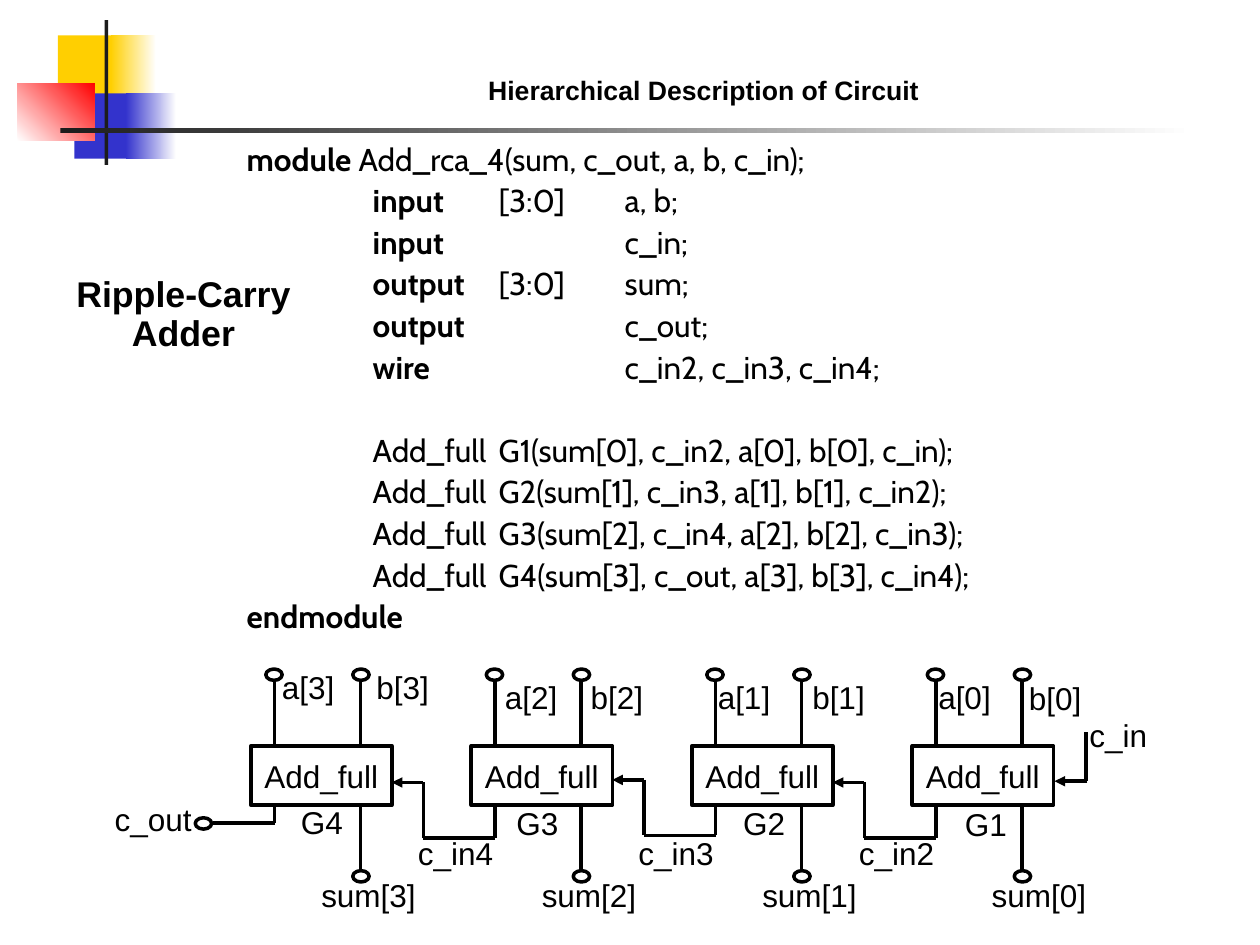
from lxml import etree
from pptx import Presentation
from pptx import util as u
from pptx.dml.color import RGBColor
from pptx.enum import shapes, text
from pptx.oxml.ns import qn

BLACK = RGBColor(0x00, 0x00, 0x00)
WHITE = RGBColor(0xFF, 0xFF, 0xFF)
YELLOW = RGBColor(0xFF, 0xCF, 0x01)
BLUE = RGBColor(0x33, 0x33, 0xCC)
RED = RGBColor(0xFF, 0x00, 0x00)
DARK = RGBColor(0x1C, 0x1C, 0x1C)
RECT, OVAL = shapes.MSO_SHAPE.RECTANGLE, shapes.MSO_SHAPE.OVAL
CENTER, LEFT = text.PP_ALIGN.CENTER, text.PP_ALIGN.LEFT
TOP, MIDDLE, BOTTOM = (text.MSO_ANCHOR.TOP, text.MSO_ANCHOR.MIDDLE,
                       text.MSO_ANCHOR.BOTTOM)

deck = Presentation()
deck.slide_width, deck.slide_height = u.Inches(10), u.Inches(7.5)
page = deck.slides.add_slide(deck.slide_layouts[6])


def add_block(kind, place, colors=(), angle=0):
    """Two colors make a gradient, one a solid fill, none a black outline."""
    shape = page.shapes.add_shape(kind, *map(u.Inches, place))
    shape.shadow.inherit = False
    if colors:
        shape.line.fill.background()
    else:
        shape.fill.background()
        shape.line.color.rgb = BLACK
        shape.line.width = u.Pt(2)
    if len(colors) == 1:
        shape.fill.solid()
        shape.fill.fore_color.rgb = colors[0]
    elif colors:
        shape.fill.gradient()
        shape.fill.gradient_angle = angle
        for stop, color in zip(shape.fill.gradient_stops, colors):
            stop.color.rgb = color
    return shape


def write(shape, rows, size=18, name="Arial", align=CENTER, anchor=MIDDLE,
          spacing=1.0, wrap=False):
    """Each row is a list of (wording, bold) pairs; tab stops are an inch apart."""
    frame = shape.text_frame
    frame.word_wrap = wrap
    frame.vertical_anchor = anchor
    for index, row in enumerate(rows):
        para = frame.add_paragraph() if index else frame.paragraphs[0]
        para.alignment, para.line_spacing = align, spacing
        stops = etree.SubElement(para._p.get_or_add_pPr(), qn("a:tabLst"))
        for inch in range(8):
            etree.SubElement(stops, qn("a:tab"), pos=str(u.Inches(inch)), algn="l")
        for wording, bold in row:
            span = para.add_run()
            span.text = wording
            span.font.color.rgb = BLACK
            style = {"size": u.Pt(size), "name": name, "bold": bold}
            for key, value in style.items():
                setattr(span.font, key, value)
    return frame


# Corner decoration and rule
for place, colors, angle in [
    ((0.46, 0.28, 0.48, 0.52), [YELLOW], 0),
    ((0.88, 0.28, 0.36, 0.52), [YELLOW, WHITE], 0),
    ((0.59, 0.74, 0.46, 0.52), [BLUE], 0),
    ((1.00, 0.74, 0.40, 0.52), [BLUE, WHITE], 0),
    ((0.14, 0.66, 0.61, 0.46), [WHITE, RED], 45),
    ((0.83, 0.16, 0.03, 1.15), [DARK], 0),
    ((0.48, 1.02, 9.00, 0.04), [DARK, WHITE], 0),
]:
    add_block(RECT, place, colors, angle)

# Headings and module code
code = [
    [("module", True), (" Add_rca_4(sum, c_out, a, b, c_in);", False)],
    [("\tinput\t", True), ("[3:0]\ta, b;", False)],
    [("\tinput\t\t", True), ("c_in; \t", False)],
    [("\toutput\t", True), ("[3:0] \tsum;", False)],
    [("\toutput \t\t", True), ("c_out;", False)],
    [("\twire\t\t", True), ("c_in2, c_in3, c_in4;", False)],
    [("\tAdd_full \tG1(sum[0], c_in2, a[0], b[0], c_in);", False)],
    [("\tAdd_full \tG2(sum[1], c_in3, a[1], b[1], c_in2);", False)],
    [("\tAdd_full \tG3(sum[2], c_in4, a[2], b[2], c_in3);", False)],
    [("\tAdd_full \tG4(sum[3], c_out, a[3], b[3], c_in4);", False)],
    [("endmodule", True)],
]
heading = {"anchor": BOTTOM, "wrap": True}
for place, rows, style in [
    ((0.39, 2.07, 2.21, 0.79),
     [[("Ripple-Carry ", True)], [("Adder ", True)]],
     dict(heading, size=20.4, spacing=0.9)),
    ((1.86, 1.03, 6.98, 5.38), code,
     {"name": "Cabin", "align": LEFT, "anchor": TOP, "spacing": 1.1, "wrap": True}),
    ((0.83, 0.49, 9.57, 0.4),
     [[("Hierarchical Description of Circuit ", True)]],
     dict(heading, size=15.2, spacing=0.8)),
]:
    box = page.shapes.add_textbox(*map(u.Inches, place))
    frame = write(box, rows, **style)
    if rows is code:
        frame.paragraphs[6].space_before = u.Pt(23.8)  # gap before the instances

# Adder stages: boxes and terminals; wires are (x1, y1, x2, y2, arrow)
PITCH = 1.75
wires = []
terminals = [(1.55, 6.49)]
for stage in range(4):
    left = 1.99 + PITCH * stage
    a_x, b_x = left + 0.19, left + 0.87
    adder = add_block(RECT, (left, 5.92, 1.12, 0.47))
    write(adder, [[("Add_full", False)]])
    terminals += [(a_x - 0.07, 5.31), (b_x - 0.06, 5.31), (b_x - 0.06, 6.91)]
    wires += [(a_x, 5.4, a_x, 5.92, False), (b_x, 5.4, b_x, 5.92, False),
              (b_x, 6.39, b_x, 6.91, False), (a_x, 6.39, a_x, 6.53, False)]
for left, top in terminals:
    add_block(OVAL, (left, top, 0.13, 0.09))

# Carry wires between neighbouring stages
for stage, top in enumerate((6.21, 6.19, 6.21)):
    end = 3.11 + PITCH * stage
    bend, source, low = end + 0.25, end + 0.82, top + 0.44
    wires += [(bend, top, end, top, True), (bend, top, bend, low, False),
              (bend, low, source, low, False), (source, low, source, 6.39, False)]

# Carry in and carry out
wires += [(8.63, 6.2, 8.37, 6.2, True), (8.62, 6.2, 8.62, 5.81, False),
          (2.18, 6.53, 1.69, 6.53, False)]
for *ends, arrow in wires:
    wire = page.shapes.add_connector(shapes.MSO_CONNECTOR.STRAIGHT,
                                     *map(u.Inches, ends))
    wire.line.color.rgb = BLACK
    wire.line.width = u.Pt(2)
    properties = wire._element.spPr
    if arrow:
        etree.SubElement(properties.find(qn("a:ln")), qn("a:tailEnd"), type="triangle")
    etree.SubElement(properties, qn("a:effectLst"))

# Signal labels: wording, left, top, width; unwrapped text stays centred
labels = [(f"c_in{4 - i}", 3.24 + PITCH * i, 6.63, 0.75) for i in range(3)]
labels += [(f"sum[{3 - i}]", 2.55 + PITCH * i, 6.96, 0.75) for i in range(3)]
labels.append(("sum[0]", 7.87, 6.96, 0.75))
labels += [(wording, left, top, 0.31) for wording, left, top in [
    ("G4", 2.40, 6.38), ("G3", 4.11, 6.39), ("G2", 5.91, 6.39), ("G1", 7.67, 6.40),
    ("a[3]", 2.29, 5.31), ("b[3]", 3.04, 5.31),
    ("a[2]", 4.06, 5.39), ("b[2]", 4.74, 5.39),
    ("a[1]", 5.75, 5.39), ("b[1]", 6.50, 5.39),
    ("a[0]", 7.50, 5.39), ("b[0]", 8.22, 5.40),
    ("c_in", 8.72, 5.69), ("c_out", 1.06, 6.36),
]]
for wording, left, top, width in labels:
    label = add_block(RECT, (left, top, width, 0.28))
    label.line.fill.background()
    write(label, [[(wording, False)]])

deck.save("out.pptx")
